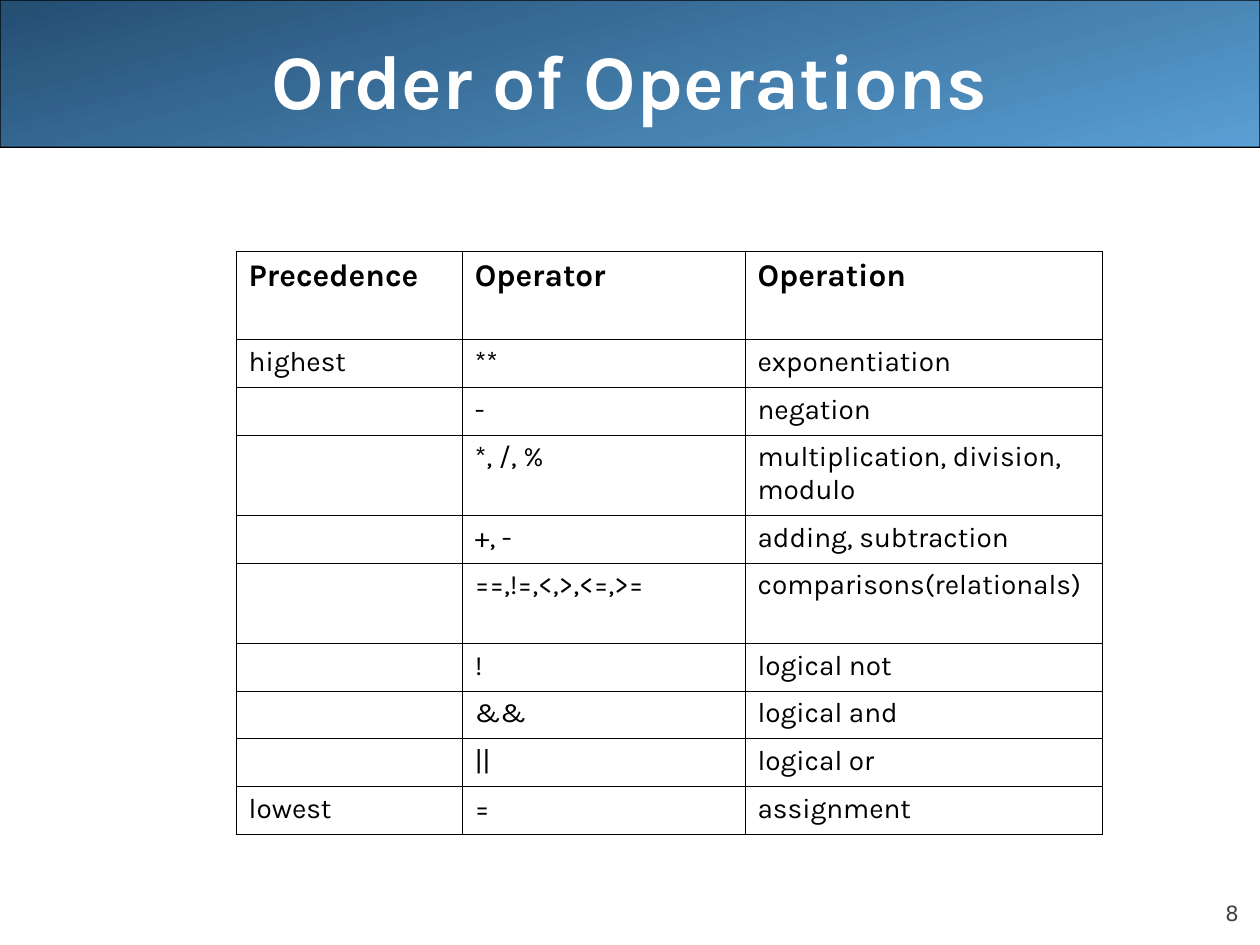
import lxml.etree
import pptx
import pptx.dml.color
import pptx.enum.shapes
import pptx.enum.text
import pptx.oxml.ns
import pptx.util
from pptx.util import Cm

TITLE = "Order of Operations"
PAGE_NUMBER = "8"
HEADINGS = ("Precedence", "Operator", "Operation")
OPERATORS = [
    ("highest", "**", "exponentiation"),
    ("", "-", "negation"),
    ("", "*, /, %", "multiplication, division, modulo"),
    ("", "+, -", "adding, subtraction"),
    ("", "==,!=,<,>,<=,>=", "comparisons(relationals)"),
    ("", "!", "logical not"),
    ("", "&&", "logical and"),
    ("", "||", "logical or"),
    ("lowest", "=", "assignment"),
]
COLUMN_WIDTHS = (4.56, 5.7, 7.2)
HEADING_HEIGHT, SINGLE_HEIGHT, DOUBLE_HEIGHT = 1.79, 0.96, 1.62
DOUBLE_ROWS = ("*, /, %", "==,!=,<,>,<=,>=")

THEME = {
    "font": "Karla", "number_font": "DejaVu Sans",
    "ink": "000000", "title": "FFFFFF", "number": "424242",
    "band": ("244E72", "5A9FD4"),
    "title_size": 44, "heading_size": 18, "body_size": 16, "number_size": 12,
    "band_line": 0.75, "grid_line": 0.45,
}
ALIGN = pptx.enum.text.PP_ALIGN
ANCHOR = pptx.enum.text.MSO_ANCHOR


def rgb(value):
    """Return a colour from its hex digits."""
    return pptx.dml.color.RGBColor.from_string(value)


def write(frame, text, size, font=THEME["font"], color=THEME["ink"], bold=False, align=ALIGN.LEFT):
    """Write one formatted paragraph into a text frame."""
    frame.word_wrap = True
    para = frame.paragraphs[0]
    para.alignment = align
    if not text:
        ending = lxml.etree.SubElement(para._p, pptx.oxml.ns.qn("a:endParaRPr"), sz=str(size * 100))
        lxml.etree.SubElement(ending, pptx.oxml.ns.qn("a:latin"), typeface=font)
        return
    span = para.add_run()
    span.text = text
    span.font.name = font
    span.font.size = pptx.util.Pt(size)
    span.font.bold = bold
    span.font.color.rgb = rgb(color)


def add_band(page, width):
    """Add the gradient band behind the title."""
    band = page.shapes.add_shape(
        pptx.enum.shapes.MSO_SHAPE.ROUNDED_RECTANGLE, 0, 0, width, Cm(2.97))
    band.adjustments[0] = 0.001
    band.shadow.inherit = False
    band.fill.gradient()
    band.fill.gradient_angle = 285
    for stop, color, position in zip(band.fill.gradient_stops, THEME["band"], (0, 1)):
        stop.color.rgb = rgb(color)
        stop.position = position
    band.line.color.rgb = rgb(THEME["ink"])
    band.line.width = pptx.util.Pt(THEME["band_line"])


def add_text(page, text, left, top, width, height, anchor, margin=None, **style):
    """Add a text box."""
    box = page.shapes.add_textbox(Cm(left), Cm(top), Cm(width), Cm(height))
    frame = box.text_frame
    frame.vertical_anchor = anchor
    if margin is not None:
        frame.margin_left = frame.margin_right = Cm(margin)
        frame.margin_top = frame.margin_bottom = Cm(margin)
    write(frame, text, **style)


def add_borders(cell):
    """Draw a thin line on each side of a cell."""
    properties = cell._tc.get_or_add_tcPr()
    for index, side in enumerate(("lnL", "lnR", "lnT", "lnB")):
        line = lxml.etree.Element(
            pptx.oxml.ns.qn(f"a:{side}"), w=str(pptx.util.Pt(THEME["grid_line"])))
        fill = lxml.etree.SubElement(line, pptx.oxml.ns.qn("a:solidFill"))
        lxml.etree.SubElement(fill, pptx.oxml.ns.qn("a:srgbClr"), val=THEME["ink"])
        properties.insert(index, line)


def add_operator_table(page, left, top):
    """Add the table of operators by precedence."""
    rows = [HEADINGS] + OPERATORS
    heights = [HEADING_HEIGHT] + [
        DOUBLE_HEIGHT if row[1] in DOUBLE_ROWS else SINGLE_HEIGHT for row in OPERATORS]
    table = page.shapes.add_table(
        len(rows), len(HEADINGS), Cm(left), Cm(top),
        Cm(sum(COLUMN_WIDTHS)), Cm(sum(heights))).table
    table.first_row = table.horz_banding = False
    for column, width in zip(table.columns, COLUMN_WIDTHS):
        column.width = Cm(width)
    for row_index, (row, height) in enumerate(zip(rows, heights)):
        table.rows[row_index].height = Cm(height)
        heading = row_index == 0
        size = THEME["heading_size"] if heading else THEME["body_size"]
        for column_index, text in enumerate(row):
            cell = table.cell(row_index, column_index)
            cell.fill.background()
            add_borders(cell)
            write(cell.text_frame, text, size=size, bold=heading)


def main():
    """Build the slide and save it."""
    deck = pptx.Presentation()
    deck.slide_width, deck.slide_height = Cm(25.4), Cm(19.05)
    page = deck.slides.add_slide(deck.slide_layouts[6])
    add_band(page, deck.slide_width)
    add_text(page, PAGE_NUMBER, 22.86, 17.65, 2.11, 1.02, ANCHOR.BOTTOM, margin=0,
             size=THEME["number_size"], font=THEME["number_font"],
             color=THEME["number"], align=ALIGN.RIGHT)
    add_text(page, TITLE, 1.27, 0, 22.86, 3.18, ANCHOR.MIDDLE,
             size=THEME["title_size"], color=THEME["title"], bold=True, align=ALIGN.CENTER)
    add_operator_table(page, 4.76, 5.06)
    deck.save("out.pptx")


if __name__ == "__main__":
    main()
